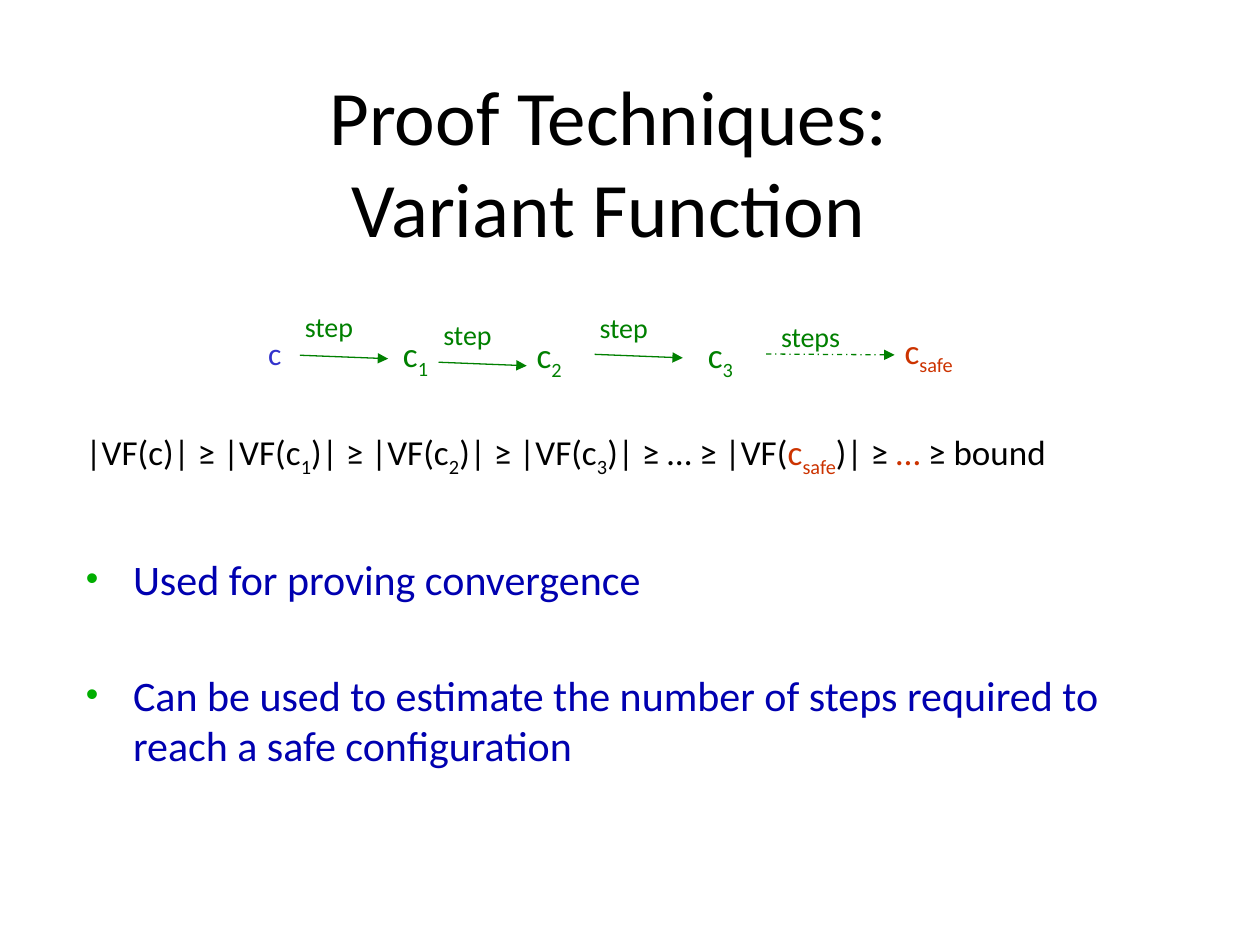
import dataclasses

import lxml.etree
import pptx
import pptx.dml.color
import pptx.enum.dml
import pptx.enum.shapes
import pptx.enum.text
import pptx.oxml.ns
import pptx.util

Pt = pptx.util.Pt


@dataclasses.dataclass(frozen=True)
class Theme:
    font: str = "Calibri"
    title_size: int = 44
    body_size: int = 24
    math_size: int = 20
    start_size: int = 18
    label_size: int = 16
    black: str = "000000"
    blue: str = "0000B0"
    start: str = "3333CC"
    green: str = "008000"
    bullet: str = "00AE00"
    safe: str = "CC3300"


THEME = Theme()


def color(value):
    return pptx.dml.color.RGBColor.from_string(value)


def add_element(parent, tag, **attributes):
    return lxml.etree.SubElement(parent, pptx.oxml.ns.qn(tag), attributes)


def add_span(para, text, size, shade, subscript=False):
    span = para.add_run()
    span.text = text
    span.font.name = THEME.font
    span.font.size = Pt(size)
    span.font.color.rgb = color(shade)
    if subscript:
        span._r.get_or_add_rPr().set("baseline", "-25000")


def place(shape, left, top, width, height):
    shape.left, shape.top = Pt(left), Pt(top)
    shape.width, shape.height = Pt(width), Pt(height)


def add_title(page, lines):
    title = page.shapes.title
    place(title, 41.8, 46.8, 612, 90)
    frame = title.text_frame
    frame.auto_size = pptx.enum.text.MSO_AUTO_SIZE.NONE
    frame.vertical_anchor = pptx.enum.text.MSO_ANCHOR.MIDDLE
    para = frame.paragraphs[0]
    para.alignment = pptx.enum.text.PP_ALIGN.CENTER
    for index, line in enumerate(lines):
        if index:
            para.add_line_break()
        add_span(para, line, THEME.title_size, THEME.black)


def add_bullets(page, items):
    body = page.placeholders[1]
    place(body, 41.8, 312.5, 647.3, 106.5)
    frame = body.text_frame
    frame.auto_size = pptx.enum.text.MSO_AUTO_SIZE.NONE
    for index, item in enumerate(items):
        para = frame.add_paragraph() if index else frame.paragraphs[0]
        para.space_before = Pt(37.5 if index else 0)
        properties = para._p.get_or_add_pPr()
        properties.set("marL", str(Pt(27)))
        properties.set("indent", str(Pt(-27)))
        shade = add_element(properties, "a:buClr")
        add_element(shade, "a:srgbClr", val=THEME.bullet)
        add_element(properties, "a:buSzPct", val="85000")
        add_element(properties, "a:buFont", typeface="Arial")
        add_element(properties, "a:buChar", char="•")
        add_span(para, item, THEME.body_size, THEME.blue)


def add_text(shapes, left, top, width, height, spans, size):
    box = shapes.add_textbox(Pt(left), Pt(top), Pt(width), Pt(height))
    box.text_frame.word_wrap = True
    para = box.text_frame.paragraphs[0]
    for text, shade, subscript in spans:
        add_span(para, text, size, shade, subscript)


def add_arrow(shapes, left, top, width, height, dashed=False):
    arrow = shapes.add_connector(
        pptx.enum.shapes.MSO_CONNECTOR.STRAIGHT,
        Pt(left), Pt(top), Pt(left + width), Pt(top + height))
    arrow.line.color.rgb = color(THEME.green)
    arrow.line.width = Pt(0.75)
    if dashed:
        arrow.line.dash_style = pptx.enum.dml.MSO_LINE.DASH_DOT
    add_element(arrow.line._get_or_add_ln(), "a:tailEnd", type="triangle")
    add_element(arrow._element.spPr, "a:effectLst")


def add_chain(page):
    shapes = page.shapes.add_group_shape().shapes
    add_text(shapes, 146.2, 187.2, 31, 29,
             [("c", THEME.start, False)], THEME.start_size)
    states = [
        ("1", 223.2, 186.7, 31, THEME.green),
        ("2", 299.5, 187.2, 43, THEME.green),
        ("3", 397.4, 187.2, 39, THEME.green),
        ("safe", 509.8, 184.5, 66, THEME.safe),
    ]
    for index, left, top, width, shade in states:
        spans = [("c", shade, False), (index, shade, True)]
        add_text(shapes, left, top, width, 31, spans, THEME.math_size)

    for left, top, label_top in [(171.4, 203, 173.5), (250.6, 207, 177.8),
                                 (339.8, 202.5, 174)]:
        add_arrow(shapes, left, top, 50.4, 2)
        add_text(shapes, left - 4.3, label_top, 62, 26.5,
                 [("step", THEME.green, False)], THEME.label_size)
    add_arrow(shapes, 437.8, 202.3, 73.4, 0.5, dashed=True)
    add_text(shapes, 439.2, 179.3, 62, 26.5,
             [("steps", THEME.green, False)], THEME.label_size)


def add_inequality(page):
    spans = [("|VF(c)| ≥ |VF(c", THEME.black, False)]
    for index, following in [("1", ")| ≥ |VF(c"), ("2", ")| ≥ |VF(c"),
                             ("3", ")| ≥ … ≥ |VF(")]:
        spans += [(index, THEME.black, True),
                  (following, THEME.black, False)]
    spans += [
        ("c", THEME.safe, False),
        ("safe", THEME.safe, True),
        (")| ≥", THEME.black, False),
        (" … ", THEME.safe, False),
        ("≥ bound", THEME.black, False),
    ]
    add_text(page.shapes, 41.8, 242.6, 647.3, 31, spans, THEME.math_size)


def main():
    deck = pptx.Presentation()
    deck.slide_width, deck.slide_height = Pt(720), Pt(540)
    page = deck.slides.add_slide(deck.slide_layouts[1])
    add_title(page, ["Proof Techniques:", "Variant Function"])
    add_chain(page)
    add_inequality(page)
    add_bullets(page, [
        "Used for proving convergence",
        "Can be used to estimate the number of steps required to "
        "reach a safe configuration",
    ])
    deck.save("out.pptx")


if __name__ == "__main__":
    main()
